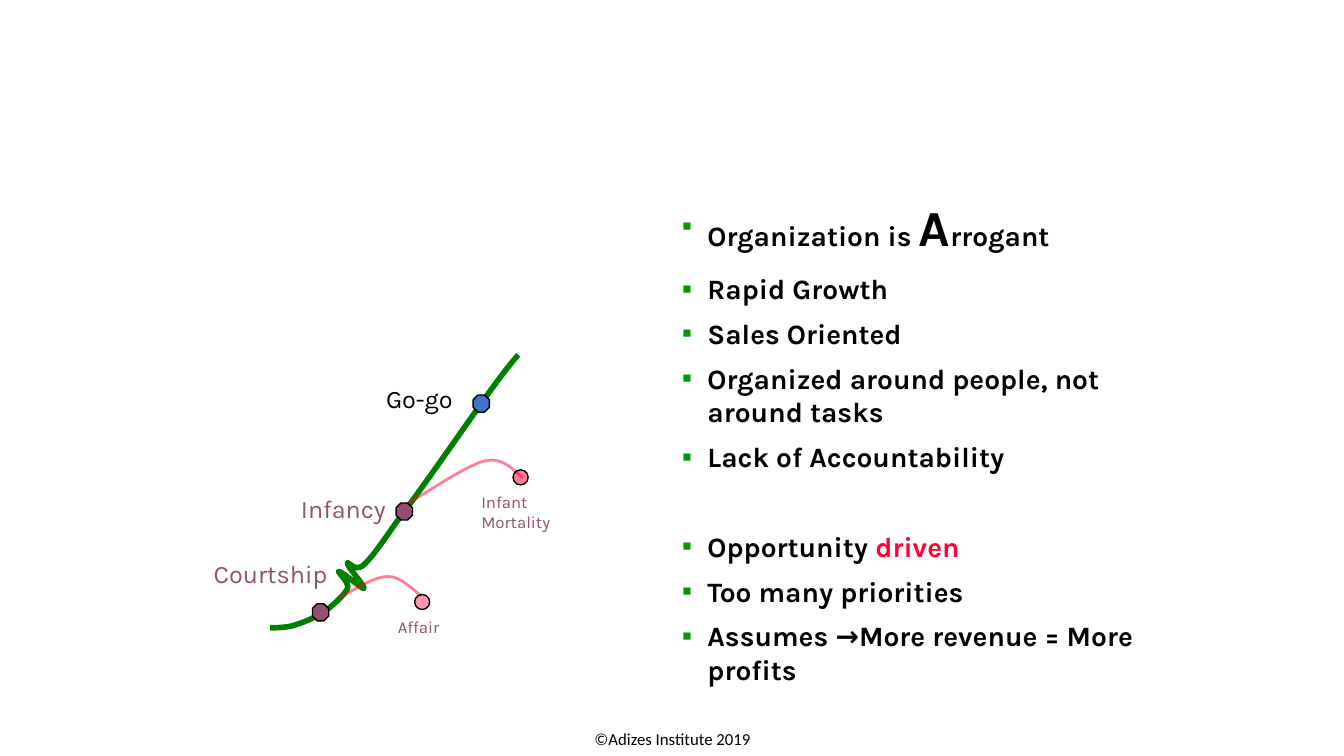
import dataclasses

import lxml.etree
import pptx
import pptx.dml.color
import pptx.enum.shapes
import pptx.enum.text
import pptx.oxml.ns
import pptx.util

Cm = pptx.util.Cm
Pt = pptx.util.Pt
qn = pptx.oxml.ns.qn
ALIGN = pptx.enum.text.PP_ALIGN
SHAPE = pptx.enum.shapes.MSO_SHAPE


@dataclasses.dataclass(frozen=True)
class Theme:
    """Colours, fonts and type sizes of the slide."""
    ink: str = "000000"
    growth: str = "008000"
    past: str = "954F72"
    current: str = "4472C4"
    danger: str = "FF0033"
    bullet: str = "009900"
    font: str = "Karla"
    plain_font: str = "Calibri"
    small: int = 12
    stage: int = 18
    body: int = 20
    initial: int = 36


@dataclasses.dataclass(frozen=True)
class Box:
    """A region in centimetres."""
    left: float
    top: float
    width: float
    height: float

    def inner(self, x, y, width, height):
        """Return a box placed relative to this one."""
        return Box(self.left + x, self.top + y, width, height)

    def lengths(self):
        """Return left, top, width and height as lengths."""
        return [Cm(value) for value in dataclasses.astuple(self)]


THEME = Theme()

LIFECYCLE = [
    (2.11, 6.88), (2.21, 6.88), (2.46, 6.88), (2.67, 6.83),
    (2.9, 6.76), (3.2, 6.65), (3.43, 6.5),
    (3.66, 6.35), (3.99, 6.05), (4.06, 5.89),
    (4.11, 5.72), (3.78, 5.46), (3.84, 5.46),
    (3.91, 5.46), (4.45, 5.92), (4.47, 5.89),
    (4.52, 5.84), (4.06, 5.36), (4.06, 5.26),
    (4.04, 5.16), (4.24, 5.49), (4.45, 5.31),
    (4.65, 5.13), (4.83, 4.88), (5.31, 4.19),
    (5.82, 3.53), (6.91, 1.96), (7.42, 1.24),
    (7.92, 0.53), (8.15, 0.25), (8.36, 0),
]
AFFAIR = [(3.86, 6.12), (4.06, 6.02), (4.7, 5.59), (5.05, 5.59),
          (5.41, 5.56), (5.74, 5.97), (5.92, 6.07)]
INFANT_MORTALITY = [(5.61, 3.73), (5.92, 3.56), (7.06, 2.77), (7.54, 2.67),
                    (8.03, 2.57), (8.31, 3), (8.48, 3.1)]

STAGES = [
    ("Courtship", (3.38, 6.49), (0.02, 5), THEME.past, THEME.past),
    ("Infancy", (5.49, 3.95), (1.49, 3.37), THEME.past, THEME.past),
    ("Go-go", (7.43, 1.23), (3.18, 0.6), THEME.current, THEME.ink),
]
FAILURES = [
    ("Affair", AFFAIR, (5.94, 6.23), (5.08, 6.48, 1.9, 0.76), 40),
    ("Infant Mortality", INFANT_MORTALITY, (8.42, 3.09),
     (7.18, 3.33, 2.51, 1.27), 50),
]
TRAITS = [
    [("Organization is ", {}), ("A", {"size": THEME.initial}), ("rrogant", {})],
    [("Rapid Growth", {})],
    [("Sales Oriented", {})],
    [("Organized around people, not around tasks", {})],
    [("Lack of Accountability", {})],
    [("Opportunity ", {}), ("driven", {"color": THEME.danger})],
    [("Too many priorities", {})],
    [("Assumes →More revenue = More profits", {})],
]
SECOND_GROUP = 5


def rgb(color):
    """Turn a hex string into a colour."""
    return pptx.dml.color.RGBColor.from_string(color)


def set_alpha(fill, percent):
    """Make a solid fill partly transparent."""
    if percent < 100:
        color = fill._xPr.find(".//" + qn("a:srgbClr"))
        alpha = lxml.etree.SubElement(color, qn("a:alpha"))
        alpha.set("val", str(percent * 1000))


def style(run, size=THEME.body, color=THEME.ink, font=THEME.font, bold=False):
    """Format one run."""
    run.font.name, run.font.size, run.font.bold = font, Pt(size), bold
    run.font.color.rgb = rgb(color)


def add_frame(slide, box):
    """Add a wrapping text box and return its frame."""
    frame = slide.shapes.add_textbox(*box.lengths()).text_frame
    frame.word_wrap = True
    return frame


def add_label(slide, box, text, align=ALIGN.LEFT, **look):
    """Add a single-paragraph label."""
    frame = add_frame(slide, box)
    frame.text = text
    frame.paragraphs[0].alignment = align
    style(frame.paragraphs[0].runs[0], **look)
    return frame


def bend(curve):
    """Turn every three straight segments into one cubic curve."""
    segments = list(curve._element.iter(qn("a:lnTo")))
    for first in range(0, len(segments), 3):
        trio = segments[first:first + 3]
        cubic = lxml.etree.Element(qn("a:cubicBezTo"))
        trio[0].addprevious(cubic)
        for segment in trio:
            cubic.append(segment[0])
            segment.getparent().remove(segment)


def add_curve(slide, box, points, color, weight, opacity=100):
    """Draw a chain of cubic curves inside the box."""
    track = [(Cm(box.left + x), Cm(box.top + y)) for x, y in points]
    builder = slide.shapes.build_freeform(*track[0])
    builder.add_line_segments(track[1:], close=False)
    curve = builder.convert_to_shape()
    bend(curve)
    curve.shadow.inherit = False
    curve.fill.background()
    curve.line.color.rgb = rgb(color)
    curve.line.width = Pt(weight)
    set_alpha(curve.line.fill, opacity)


def add_marker(slide, box, preset, center, size, color, opacity=100):
    """Add an outlined marker centred on a point of the box."""
    (x, y), (width, height) = center, size
    place = box.inner(x - width / 2, y - height / 2, width, height)
    marker = slide.shapes.add_shape(preset, *place.lengths())
    marker.shadow.inherit = False
    marker.fill.solid()
    marker.fill.fore_color.rgb = rgb(color)
    set_alpha(marker.fill, opacity)
    marker.line.color.rgb = rgb(THEME.ink)
    marker.line.width = Pt(1)


def add_lifecycle(slide, box):
    """Draw the growth curve with its stages and failures."""
    add_curve(slide, box, LIFECYCLE, THEME.growth, 4)
    for name, center, corner, color, text_color in STAGES:
        add_marker(slide, box, SHAPE.OCTAGON, center, (0.41, 0.43), color)
        add_label(slide, box.inner(*corner, 3.78, 1.02), name, ALIGN.RIGHT,
                  size=THEME.stage, color=text_color)
    for name, points, center, place, opacity in FAILURES:
        add_curve(slide, box, points, THEME.danger, 2, 50)
        add_marker(slide, box, SHAPE.OVAL, center, (0.38, 0.38),
                   THEME.danger, opacity)
        add_label(slide, box.inner(*place), name, size=THEME.small,
                  color=THEME.past)


def add_bullet(paragraph):
    """Give a paragraph a hanging square bullet."""
    props = paragraph._p.get_or_add_pPr()
    props.set("marL", str(Cm(0.64)))
    props.set("indent", str(-Cm(0.64)))
    color = lxml.etree.SubElement(props, qn("a:buClr"))
    lxml.etree.SubElement(color, qn("a:srgbClr")).set("val", THEME.bullet)
    font = lxml.etree.SubElement(props, qn("a:buFont"))
    font.set("typeface", THEME.plain_font)
    lxml.etree.SubElement(props, qn("a:buChar")).set("char", "▪")


def add_traits(slide, box):
    """List the traits of the current stage in two groups."""
    frame = add_frame(slide, box)
    for index, trait in enumerate(TRAITS):
        paragraph = frame.add_paragraph() if index else frame.paragraphs[0]
        add_bullet(paragraph)
        paragraph.space_after = Pt(4 if index else 7)
        if index:
            paragraph.space_before = Pt(36 if index == SECOND_GROUP else 4)
        for text, look in trait:
            run = paragraph.add_run()
            run.text = text
            style(run, bold=True, **look)


def add_footer(slide, box):
    """Add the centred copyright line."""
    frame = add_label(slide, box, "©Adizes Institute 2019", ALIGN.CENTER,
                      size=THEME.small, font=THEME.plain_font)
    frame.margin_top = Cm(0.16)
    frame.paragraphs[0].line_spacing = 0.93


def main():
    """Build the slide and save it."""
    deck = pptx.Presentation()
    deck.slide_width, deck.slide_height = Cm(33.87), Cm(19.05)
    slide = deck.slides.add_slide(deck.slide_layouts[6])
    add_footer(slide, Box(11.31, 18.25, 11.28, 0.76))
    add_lifecycle(slide, Box(4.7, 8.94, 9.7, 7.24))
    add_traits(slide, Box(16.94, 4.81, 12.22, 13.2))
    deck.save("out.pptx")


if __name__ == "__main__":
    main()
